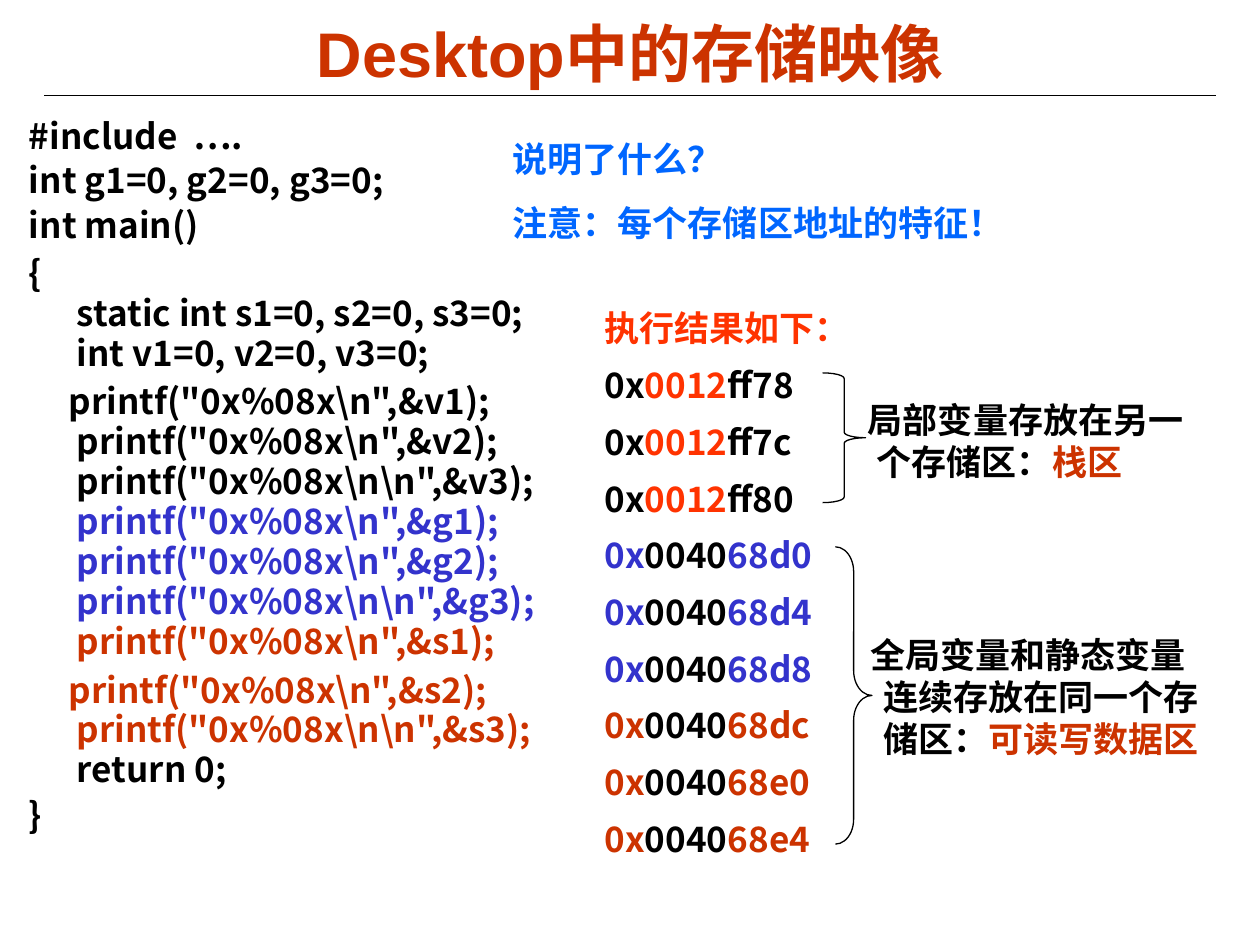
from lxml import etree
from pptx import Presentation
from pptx.dml.color import RGBColor
from pptx.enum import shapes, text
from pptx.oxml import ns
from pptx.util import Inches, Pt

COLORS = {"black": "000000", "rust": "CC3300", "red": "FF3300",
          "indigo": "3333CC", "blue": "0066FF"}
CJK = "Noto Sans CJK SC"


def add_span(para, words, color, size=20, latin=CJK):
    span = para.add_run()
    span.text = words
    span.font.size = Pt(size)
    span.font.bold = True
    span.font.color.rgb = RGBColor.from_string(COLORS[color])
    span.font.name = latin
    etree.SubElement(span.font._element, ns.qn("a:ea"), typeface=CJK)


def add_para(frame, before=0, spacing=1.0, left=0, first=0):
    """Return a bullet-free paragraph, reusing the frame's empty first one."""
    para = frame.paragraphs[0]
    if para.runs:
        para = frame.add_paragraph()
    else:
        before = 0
    props = para._p.get_or_add_pPr()
    props.set("marL", str(Inches(left)))
    props.set("indent", str(Inches(first)))
    etree.SubElement(props, ns.qn("a:buNone"))
    para.alignment = text.PP_ALIGN.LEFT
    para.space_before = Pt(before)
    para.line_spacing = spacing
    return para


deck = Presentation()
deck.slide_width, deck.slide_height = Inches(10), Inches(7.5)
page = deck.slides.add_slide(deck.slide_layouts[1])

# Title and rule
title = page.shapes.title
title.left, title.top, title.width, title.height = (
    Inches(0.5), Inches(0.11), Inches(9), Inches(0.61))
title.text_frame.auto_size = text.MSO_AUTO_SIZE.NONE
title.text_frame.vertical_anchor = text.MSO_ANCHOR.MIDDLE
heading = title.text_frame.paragraphs[0]
heading.alignment = text.PP_ALIGN.CENTER
add_span(heading, "Desktop中的存储映像", "rust", 36, "Arial")

rule = page.shapes.add_connector(shapes.MSO_CONNECTOR.STRAIGHT, Inches(0.35), Inches(0.76),
                                 Inches(9.65), Inches(0.76))
rule.line.color.rgb = RGBColor.from_string(COLORS["black"])
rule.line.width = Pt(0.75)
etree.SubElement(rule._element.spPr, ns.qn("a:effectLst"))

# Program listing: line spacing, then coloured lines of each paragraph
code = [
    (0.85, [("black", "#include  ….")]),
    (0.85, [("black", "int g1=0, g2=0, g3=0;")]),
    (0.85, [("black", "int main()")]),
    (0.95, [("black", "{"),
            ("black", "static int s1=0, s2=0, s3=0;"),
            ("black", "int v1=0, v2=0, v3=0;")]),
    (0.95, [("black", r'     printf("0x%08x\n",&v1);'),
            ("black", r'printf("0x%08x\n",&v2);'),
            ("black", r'printf("0x%08x\n\n",&v3);'),
            ("indigo", r'printf("0x%08x\n",&g1);'),
            ("indigo", r'printf("0x%08x\n",&g2);'),
            ("indigo", r'printf("0x%08x\n\n",&g3);'),
            ("rust", r'printf("0x%08x\n",&s1);')]),
    (0.95, [("rust", r'     printf("0x%08x\n",&s2);'),
            ("rust", r'printf("0x%08x\n\n",&s3);'),
            ("black", "return 0;")]),
    (0.85, [("black", "}")]),
]
listing = page.placeholders[1]
listing.left, listing.top, listing.width, listing.height = (
    Inches(0.13), Inches(0.91), Inches(4.73), Inches(6.33))
listing.text_frame.auto_size = text.MSO_AUTO_SIZE.NONE
for spacing, lines in code:
    para = add_para(listing.text_frame, 5, spacing, 0.38, -0.38)
    for number, (color, line) in enumerate(lines):
        if number:
            para.add_line_break()
        add_span(para, line, color)

# Program output
output = page.shapes.add_textbox(Inches(4.7), Inches(2.27), Inches(2.15), Inches(4.6))
output.text_frame.word_wrap = False
output.text_frame.auto_size = text.MSO_AUTO_SIZE.SHAPE_TO_FIT_TEXT
output.text_frame.vertical_anchor = text.MSO_ANCHOR.MIDDLE
add_span(add_para(output.text_frame, spacing=1.35), "执行结果如下：", "red")
addresses = [
    ("black", "red", "0012", ["ff78", "ff7c", "ff80"]),
    ("indigo", "black", "0040", ["68d0", "68d4", "68d8"]),
    ("rust", "black", "0040", ["68dc", "68e0", "68e4"]),
]
for color, high_color, high, lows in addresses:
    for low in lows:
        para = add_para(output.text_frame, spacing=1.35)
        add_span(para, "0x", color)
        add_span(para, high, high_color)
        add_span(para, low, color)

# Question and the two notes: place, left margin, first-line shift, paragraphs of spans
notes = [
    ((3.97, 1.04, 5.41, 0.94), -0.38,
     [[("说明了什么？", "blue")], [("注意：每个存储区地址的特征！", "blue")]]),
    ((6.53, 4.98, 3.15, 1.1), -0.1,
     [[("全局变量和静态变量连续存放在同一个存储区：", "black"), ("可读写数据区", "rust")]]),
    ((6.48, 3.11, 3.15, 0.77), -0.07,
     [[("局部变量存放在另一个存储区：", "black"), ("栈区", "rust")]]),
]
for place, first, paras in notes:
    box = page.shapes.add_textbox(*map(Inches, place))
    box.text_frame.word_wrap = True
    box.text_frame.auto_size = text.MSO_AUTO_SIZE.SHAPE_TO_FIT_TEXT
    for spans in paras:
        para = add_para(box.text_frame, 12.5, left=0.38, first=first)
        for words, color in spans:
            add_span(para, words, color)

# Braces joining the addresses to their notes
for place, curl in [((6.63, 4.34, 0.29, 2.36), 0.68), ((6.53, 2.96, 0.34, 1.03), 0.13)]:
    brace = page.shapes.add_shape(shapes.MSO_SHAPE.RIGHT_BRACE, *map(Inches, place))
    brace.adjustments[0] = curl
    brace.shadow.inherit = False
    brace.fill.background()
    brace.line.color.rgb = RGBColor.from_string(COLORS["black"])
    brace.line.width = Pt(0.75)

deck.save("out.pptx")
